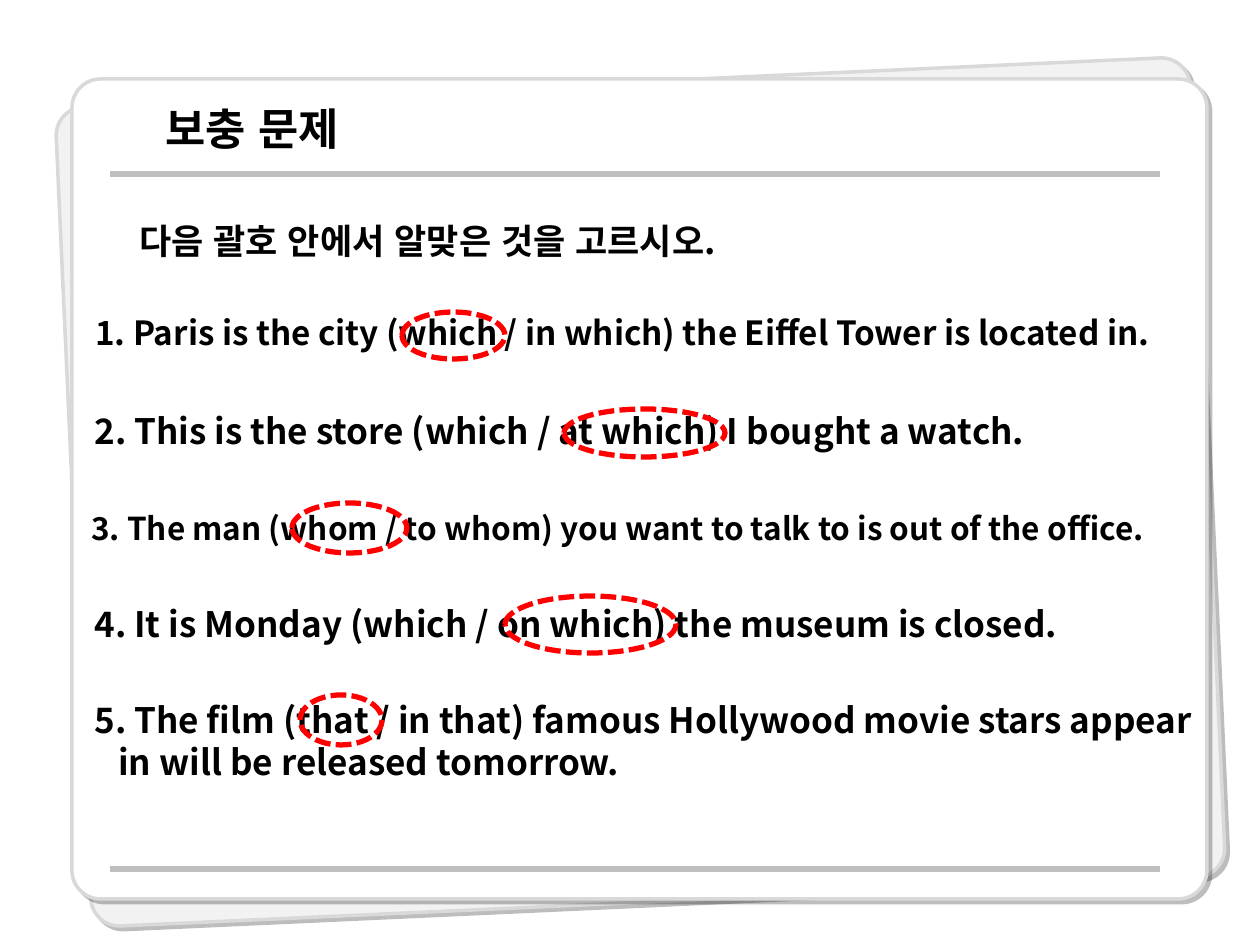
from dataclasses import dataclass

from lxml import etree
from pptx import Presentation
from pptx.dml.color import RGBColor
from pptx.enum.dml import MSO_LINE
from pptx.enum.shapes import MSO_CONNECTOR, MSO_SHAPE
from pptx.enum.text import MSO_ANCHOR, MSO_AUTO_SIZE, PP_ALIGN
from pptx.oxml.ns import qn
from pptx.util import Emu, Pt

ROUNDED = MSO_SHAPE.ROUNDED_RECTANGLE
OVAL = MSO_SHAPE.OVAL
STRAIGHT = MSO_CONNECTOR.STRAIGHT
DASH = MSO_LINE.SQUARE_DOT
MIDDLE = MSO_ANCHOR.MIDDLE
GROW = MSO_AUTO_SIZE.SHAPE_TO_FIT_TEXT
LEFT, CENTER = PP_ALIGN.LEFT, PP_ALIGN.CENTER

PX_PER_INCH = 126


@dataclass(frozen=True)
class Theme:
    font: str = "Noto Sans CJK KR"
    text: str = "000000"
    paper: str = "FFFFFF"
    back_paper: str = "F2F2F2"
    card_edge: str = "D9D9D9"
    rule: str = "BFBFBF"
    answer: str = "FF0000"
    title_size: int = 25
    body_size: int = 20


THEME = Theme()

# Each question: left, top, height, type size, lines as (indent, text)
QUESTIONS = [
    (67, 306, 55, 19,
     [(16, "1. Paris is the city (which / in which) the Eiffel Tower is located in.")]),
    (67, 403, 55, THEME.body_size,
     [(15, "2. This is the store (which / at which) I bought a watch.")]),
    (66, 503, 50, 18,
     [(13, "3. The man (whom / to whom) you want to talk to is out of the office.")]),
    (67, 596, 55, THEME.body_size,
     [(15, "4. It is Monday (which / on which) the museum is closed.")]),
    (67, 692, 97, THEME.body_size,
     [(15, "5. The film (that / in that) famous Hollywood movie stars appear"),
      (39, "in will be released tomorrow.")]),
]

# Rings around the right answers: left, top, width, height
ANSWER_RINGS = [
    (402, 312, 103, 47),
    (564, 409, 161, 48),
    (292, 503, 115, 50),
    (505, 596, 171, 57),
    (300, 695, 82, 50),
]


def px(length):
    return Emu(round(length * 914400 / PX_PER_INCH))


def color(value):
    return RGBColor.from_string(value)


def add_card_shadow(shape):
    effects = shape._element.spPr.find(qn("a:effectLst"))
    shadow = etree.SubElement(effects, qn("a:outerShdw"), blurRad="0",
                              dist=str(Pt(3)), dir="2700000", algn="tl",
                              rotWithShape="0")
    black = etree.SubElement(shadow, qn("a:srgbClr"), val="000000")
    etree.SubElement(black, qn("a:alpha"), val="25000")


def add_card(slide, left, top, fill, rotation=0):
    shape = slide.shapes.add_shape(ROUNDED, px(left), px(top), px(1135), px(820))
    shape.adjustments[0] = 0.035
    shape.rotation = rotation
    shape.fill.solid()
    shape.fill.fore_color.rgb = color(fill)
    shape.line.color.rgb = color(THEME.card_edge)
    shape.line.width = Pt(2)
    shape.shadow.inherit = False
    add_card_shadow(shape)


def add_rule(slide, y):
    line = slide.shapes.add_connector(STRAIGHT, px(110), px(y), px(1160), px(y))
    line.line.color.rgb = color(THEME.rule)
    line.line.width = Pt(3)
    etree.SubElement(line._element.spPr, qn("a:effectLst"))


def add_ring(slide, left, top, width, height):
    ring = slide.shapes.add_shape(OVAL, px(left), px(top), px(width), px(height))
    ring.fill.background()
    ring.line.color.rgb = color(THEME.answer)
    ring.line.width = Pt(3)
    ring.line.dash_style = DASH
    ring.shadow.inherit = False


def add_run(paragraph, text, size):
    run = paragraph.add_run()
    run.text = text
    run.font.name = THEME.font
    run.font.size = Pt(size)
    run.font.bold = True
    run.font.color.rgb = color(THEME.text)
    properties = run.font._element
    properties.set("lang", "ko-KR")
    etree.SubElement(properties, qn("a:ea"), typeface=THEME.font)


def add_text(slide, left, top, width, height, size, lines, align=LEFT):
    box = slide.shapes.add_textbox(px(left), px(top), px(width), px(height))
    frame = box.text_frame
    frame.word_wrap = True
    for number, (indent, text) in enumerate(lines):
        paragraph = frame.add_paragraph() if number else frame.paragraphs[0]
        paragraph.alignment = align
        if indent:
            properties = paragraph._p.get_or_add_pPr()
            properties.set("marL", str(px(indent)))
            properties.set("indent", "0")
        add_run(paragraph, text, size)
    return frame


def main():
    presentation = Presentation()
    presentation.slide_width = px(1260)
    presentation.slide_height = px(945)
    slide = presentation.slides.add_slide(presentation.slide_layouts[6])

    # Stacked paper cards with header and footer rules
    add_card(slide, 73, 82, THEME.back_paper, rotation=357.4)
    add_card(slide, 72, 79, THEME.paper)
    for y in (174, 869):
        add_rule(slide, y)

    # Instruction and questions
    instruction = add_text(slide, 127, 213, 608, 55, THEME.body_size,
                           [(0, "다음 괄호 안에서 알맞은 것을 고르시오.")])
    instruction.auto_size = GROW
    for left, top, height, size, lines in QUESTIONS:
        question = add_text(slide, left, top, 1194, height, size, lines)
        question.auto_size = GROW

    # Answers
    for ring in ANSWER_RINGS:
        add_ring(slide, *ring)

    # Title
    title = add_text(slide, 130, 102, 244, 52, THEME.title_size,
                     [(0, "보충 문제")], CENTER)
    title.vertical_anchor = MIDDLE

    presentation.save("out.pptx")


if __name__ == "__main__":
    main()
